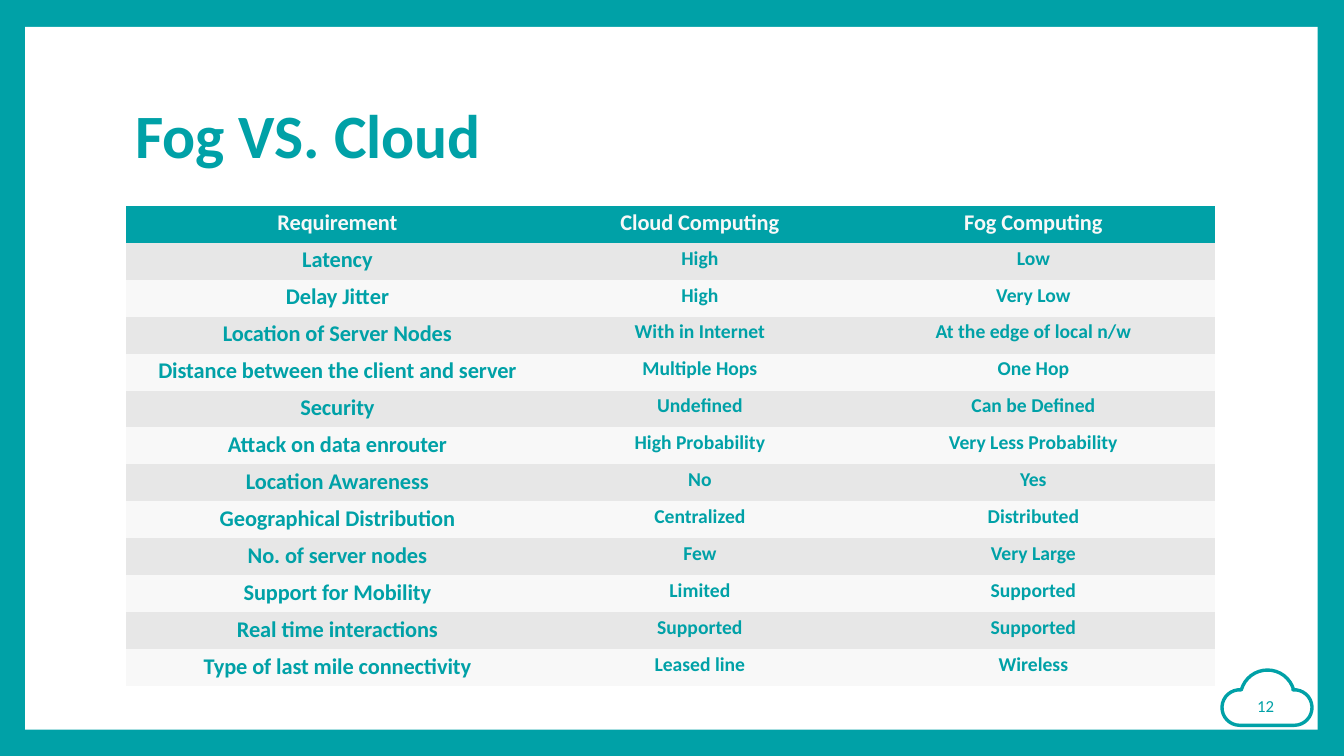
from dataclasses import dataclass
from math import cos, radians, sin

from pptx import Presentation
from pptx.dml.color import RGBColor
from pptx.enum.shapes import MSO_SHAPE
from pptx.enum.text import MSO_ANCHOR, PP_ALIGN
from pptx.oxml.ns import qn
from pptx.util import Pt

RECTANGLE = MSO_SHAPE.RECTANGLE
TOP = MSO_ANCHOR.TOP
LEFT, CENTER = PP_ALIGN.LEFT, PP_ALIGN.CENTER
NO_GRID_STYLE = "{2D5ABB26-0587-4C30-8999-92F81FD0307C}"


@dataclass(frozen=True)
class Theme:
    font: str = "Calibri"
    teal: str = "00A1A7"
    white: str = "FFFFFF"
    light: str = "F8F8F8"
    gray: str = "E7E7E7"
    title_size: int = 44
    label_size: int = 16
    value_size: int = 14
    number_size: int = 12


def write_text(frame, text, *, font, size, color, bold=False, align=LEFT,
               spacing=0, line_spacing=None):
    """Put one formatted line of text in a text frame."""
    paragraph = frame.paragraphs[0]
    paragraph.alignment = align
    if line_spacing:
        paragraph.line_spacing = Pt(line_spacing)
    run = paragraph.add_run()
    run.text = text
    run.font.name = font
    run.font.size = Pt(size)
    run.font.bold = bold
    run.font.color.rgb = RGBColor.from_string(color)
    if spacing:
        run._r.get_or_add_rPr().set("spc", str(round(spacing * 100)))


def arc(center_x, center_y, radius, start, end, steps=16):
    """Points along a circular arc, clockwise, with angles in degrees."""
    angles = [radians(start + (end - start) * i / steps) for i in range(steps + 1)]
    return [(Pt(center_x + radius * cos(a)), Pt(center_y + radius * sin(a)))
            for a in angles]


class SlideBuilder:
    def __init__(self, slide, theme):
        self.slide = slide
        self.theme = theme

    def rectangle(self, left, top, width, height, color):
        shape = self.slide.shapes.add_shape(
            RECTANGLE, Pt(left), Pt(top), Pt(width), Pt(height))
        shape.shadow.inherit = False
        shape.fill.solid()
        shape.fill.fore_color.rgb = RGBColor.from_string(color)
        shape.line.fill.background()

    def outline(self, points, color, weight):
        builder = self.slide.shapes.build_freeform(*points[0])
        builder.add_line_segments(points[1:], close=True)
        shape = builder.convert_to_shape()
        shape.shadow.inherit = False
        shape.fill.background()
        shape.line.color.rgb = RGBColor.from_string(color)
        shape.line.width = Pt(weight)

    def text(self, left, top, width, height, text, inset_left=0, inset_top=0,
             **text_format):
        box = self.slide.shapes.add_textbox(Pt(left), Pt(top), Pt(width), Pt(height))
        frame = box.text_frame
        frame.word_wrap = True
        frame.vertical_anchor = TOP
        frame.margin_left, frame.margin_top = Pt(inset_left), Pt(inset_top)
        frame.margin_right = frame.margin_bottom = 0
        write_text(frame, text, font=self.theme.font, **text_format)

    def table(self, left, top, widths, row_height, rows, right_insets):
        theme = self.theme
        table = self.slide.shapes.add_table(
            len(rows), len(widths), Pt(left), Pt(top),
            Pt(sum(widths)), Pt(row_height * len(rows))).table
        table.horz_banding = False
        table._tbl.tblPr.find(qn("a:tableStyleId")).text = NO_GRID_STYLE
        for column, width in zip(table.columns, widths):
            column.width = Pt(width)
        for r, values in enumerate(rows):
            table.rows[r].height = Pt(row_height)
            header = r == 0
            fill = theme.teal if header else theme.gray if r % 2 else theme.light
            for c, value in enumerate(values):
                cell = table.cell(r, c)
                cell.fill.solid()
                cell.fill.fore_color.rgb = RGBColor.from_string(fill)
                cell.margin_left = cell.margin_bottom = 0
                cell.margin_top = Pt(2.65)
                cell.margin_right = Pt(right_insets[c])
                label = header or c == 0
                write_text(
                    cell.text_frame, value, font=theme.font, bold=True, align=CENTER,
                    size=theme.label_size if label else theme.value_size,
                    color=theme.light if header else theme.teal,
                    spacing=-0.05 if label else 0)


REQUIREMENTS = [
    ("Requirement", "Cloud Computing", "Fog Computing"),
    ("Latency", "High", "Low"),
    ("Delay Jitter", "High", "Very Low"),
    ("Location of Server Nodes", "With in Internet", "At the edge of local n/w"),
    ("Distance between the client and server", "Multiple Hops", "One Hop"),
    ("Security", "Undefined", "Can be Defined"),
    ("Attack on data enrouter", "High Probability", "Very Less Probability"),
    ("Location Awareness", "No", "Yes"),
    ("Geographical Distribution", "Centralized", "Distributed"),
    ("No. of server nodes", "Few", "Very Large"),
    ("Support for Mobility", "Limited", "Supported"),
    ("Real time interactions", "Supported", "Supported"),
    ("Type of last mile connectivity", "Leased line", "Wireless"),
]


def main():
    theme = Theme()
    presentation = Presentation()
    presentation.slide_width, presentation.slide_height = Pt(960), Pt(540)
    slide = presentation.slides.add_slide(presentation.slide_layouts[6])
    builder = SlideBuilder(slide, theme)

    # Teal frame around a white page
    builder.rectangle(0, 0, 960, 540, theme.teal)
    builder.rectangle(18, 19.2, 923.2, 502, theme.white)

    # Cloud badge: left, top and right lobes
    cloud = (arc(885.6, 505.4, 12.7, 90, 275)
             + arc(905.4, 498, 19.4, 196, 344)
             + arc(924.5, 505.4, 12.7, 265, 450))
    builder.outline(cloud, theme.teal, 2.4)

    # Title and page number
    builder.text(96.5, 68.4, 263, 54.7, "Fog VS. Cloud", inset_top=1,
                 size=theme.title_size, color=theme.teal, bold=True)
    builder.text(895, 499, 18.7, 13.7, "12", inset_left=3,
                 size=theme.number_size, color=theme.teal, line_spacing=12.3)

    # Comparison table
    builder.table(90, 147, [317.5, 205.9, 254.2], 26.4, REQUIREMENTS,
                  right_insets=[15.4, 21, 4.6])

    presentation.save("out.pptx")


if __name__ == "__main__":
    main()
